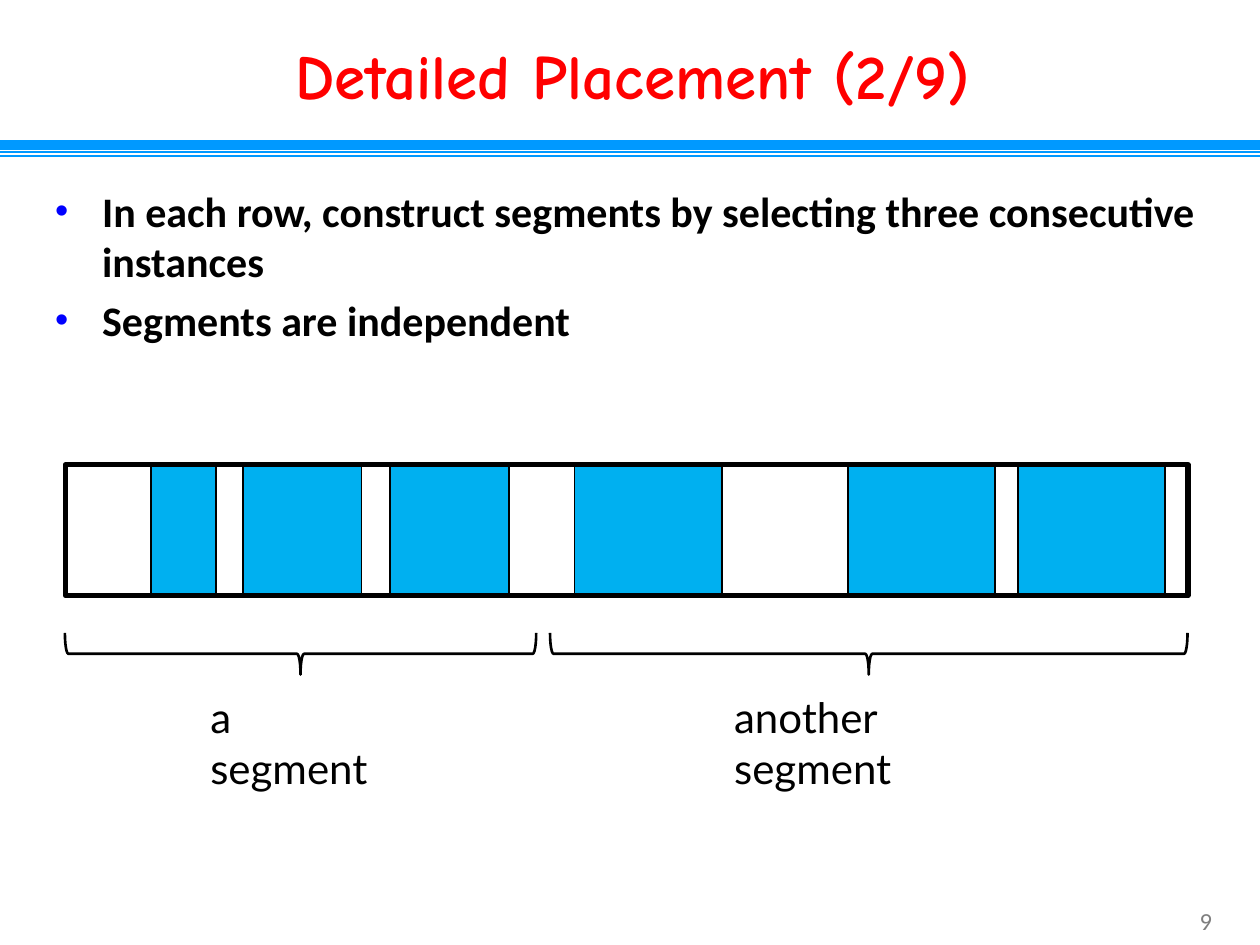
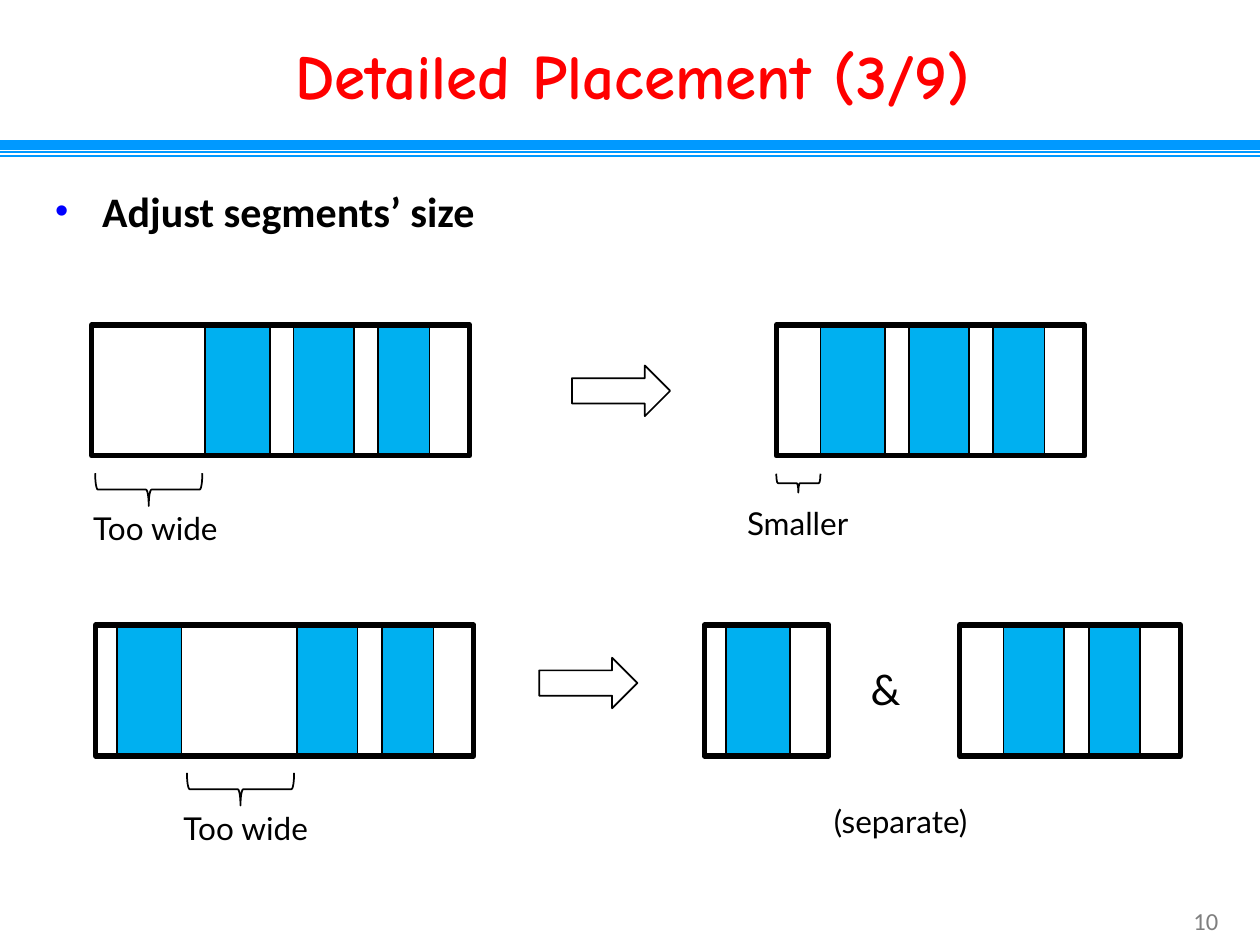
"""Build two slides on detailed placement: choosing segments and adjusting their size."""
from lxml import etree
from pptx import Presentation
from pptx import util as u
from pptx.dml.color import RGBColor
from pptx.enum import shapes, text
from pptx.oxml import ns

COLORS = {"title": "FF0000", "band": "0099FF", "bullet": "0000FF",
          "cell": "00B0F0", "ink": "000000", "number": "7F7F7F"}
BANDS = [(2.92, 6), (3.07, 1), (3.15, 1)]
ROW_HEIGHT = 2.64
ARROW_SIZE = (1.98, 1.02)

# rows: left, top, widths of gap, cell, gap, ..., gap
# braces: left, top, width, depth, line width
# labels: text, left, top, width, height, font size
SLIDES = [
    {"title": "Detailed Placement (2/9)", "number": 9, "body_height": 3.78,
     "bullets": ["In each row, construct segments by selecting three consecutive instances",
                 "Segments are independent"],
     "rows": [(1.32, 9.37, [1.73, 1.3, 0.55, 2.39, 0.58, 2.39, 1.32,
                            2.97, 2.54, 2.97, 0.46, 2.97, 0.46])],
     "braces": [(1.31, 12.76, 9.5, 0.84, 1.5), (11.09, 12.76, 12.85, 0.84, 1.5)],
     "arrows": [],
     "labels": [("a segment", 3.99, 13.82, 4.22, 1.27, 24),
                ("another segment", 14.55, 13.82, 6.68, 1.27, 24)]},
    {"title": "Detailed Placement (3/9)", "number": 10, "body_height": 1.68,
     "bullets": ["Adjust segments’ size"],
     "rows": [(1.85, 6.55, [2.29, 1.3, 0.48, 1.22, 0.48, 1.04, 0.81]),
              (15.65, 6.55, [0.89, 1.3, 0.48, 1.22, 0.48, 1.04, 0.81]),
              (1.93, 12.6, [0.43, 1.3, 2.33, 1.22, 0.49, 1.04, 0.81]),
              (14.2, 12.6, [0.43, 1.3, 0.78]),
              (19.35, 12.6, [0.88, 1.22, 0.5, 1.04, 0.81])],
     "braces": [(1.92, 9.54, 2.16, 0.66, 1), (15.65, 9.55, 0.89, 0.38, 1),
                (3.77, 15.58, 2.16, 0.66, 1)],
     "arrows": [(11.53, 7.37), (10.87, 13.26)],
     "labels": [("Too wide", 1.63, 10.13, 3.02, 1.02, 18),
                ("Smaller", 14.81, 10.03, 3.02, 1.02, 18),
                ("Too wide", 3.45, 16.18, 3.02, 1.02, 18),
                ("&", 17.3, 13.26, 1.27, 1.27, 24),
                ("(separate)", 16.56, 16.05, 3.71, 1.02, 18)]},
]


def rgb(name):
    return RGBColor.from_string(COLORS[name])


def box(*lengths):
    return [u.Cm(n) for n in lengths]


def write(p, words, size=24, font="Lato", color="ink", bold=False, align=None):
    r = p.add_run()
    r.text = words
    r.font.size, r.font.name, r.font.bold = u.Pt(size), font, bold
    r.font.color.rgb = rgb(color)
    p.alignment = align


def add_text(s, words, place, grow=True, **style):
    tf = s.shapes.add_textbox(*box(*place)).text_frame
    tf.word_wrap = True
    tf.auto_size = text.MSO_AUTO_SIZE.SHAPE_TO_FIT_TEXT if grow else text.MSO_AUTO_SIZE.NONE
    for i, line in enumerate(words):
        p = tf.paragraphs[0] if i == 0 else tf.add_paragraph()
        write(p, line, **style)
    return tf


def add_shape(s, kind, place, fill=None, weight=1.0):
    sp = s.shapes.add_shape(kind, *box(*place))
    sp.shadow.inherit = False
    if fill:
        sp.fill.solid()
        sp.fill.fore_color.rgb = rgb(fill)
    else:
        sp.fill.background()
    sp.line.color.rgb = rgb("ink")
    sp.line.width = u.Pt(weight)
    return sp


def add_bullet(p):
    pr = p._p.get_or_add_pPr()
    pr.set("marL", str(u.Cm(0.95)))
    pr.set("indent", str(-u.Cm(0.95)))
    color = etree.SubElement(pr, ns.qn("a:buClr"))
    etree.SubElement(color, ns.qn("a:srgbClr"), val=COLORS["bullet"])
    etree.SubElement(pr, ns.qn("a:buSzPct"), val="90000")
    etree.SubElement(pr, ns.qn("a:buFont"), typeface="Arial")
    etree.SubElement(pr, ns.qn("a:buChar"), char="•")


def add_frame(s, title, number):
    for y, weight in BANDS:
        line = s.shapes.add_connector(shapes.MSO_CONNECTOR.STRAIGHT, *box(0, y, 25.4, y))
        line.line.color.rgb = rgb("band")
        line.line.width = u.Pt(weight)
        etree.SubElement(line._element.spPr, ns.qn("a:effectLst"))
    add_text(s, [str(number)], (23.27, 18.14, 2.08, 0.86), size=14, font="Calibri",
             color="number", align=text.PP_ALIGN.CENTER)
    sp = s.shapes.title
    sp.left, sp.top, sp.width, sp.height = box(0.84, 0.64, 23.83, 1.7)
    tf = sp.text_frame
    tf.margin_left = tf.margin_top = tf.margin_right = tf.margin_bottom = 0
    tf.vertical_anchor = text.MSO_ANCHOR.MIDDLE
    tf.auto_size = text.MSO_AUTO_SIZE.NONE
    write(tf.paragraphs[0], title, size=36, font="Comic Neue", color="title",
          bold=True, align=text.PP_ALIGN.CENTER)


def add_row(s, left, top, widths):
    x = left
    for i, width in enumerate(widths):
        if i % 2:
            add_shape(s, shapes.MSO_SHAPE.RECTANGLE, (x, top, width, ROW_HEIGHT), "cell")
        x += width
    add_shape(s, shapes.MSO_SHAPE.RECTANGLE, (left, top, x - left, ROW_HEIGHT), weight=3)


def add_brace(s, left, top, width, depth, weight):
    shift = (width - depth) / 2
    sp = add_shape(s, shapes.MSO_SHAPE.LEFT_BRACE,
                   (left + shift, top - shift, depth, width), weight=weight)
    sp.rotation = 270


prs = Presentation()
prs.slide_width, prs.slide_height = box(25.4, 19.05)
for page in SLIDES:
    s = prs.slides.add_slide(prs.slide_layouts[5])
    add_frame(s, page["title"], page["number"])
    body = add_text(s, page["bullets"], (0.86, 3.61, 23.8, page["body_height"]),
                    grow=False, font="Calibri", bold=True)
    for p in body.paragraphs:
        p.space_before = u.Pt(4.8)
        add_bullet(p)
    for row in page["rows"]:
        add_row(s, *row)
    for brace in page["braces"]:
        add_brace(s, *brace)
    for corner in page["arrows"]:
        add_shape(s, shapes.MSO_SHAPE.RIGHT_ARROW, corner + ARROW_SIZE)
    for words, *place, size in page["labels"]:
        add_text(s, [words], place, size=size)
prs.save("out.pptx")
